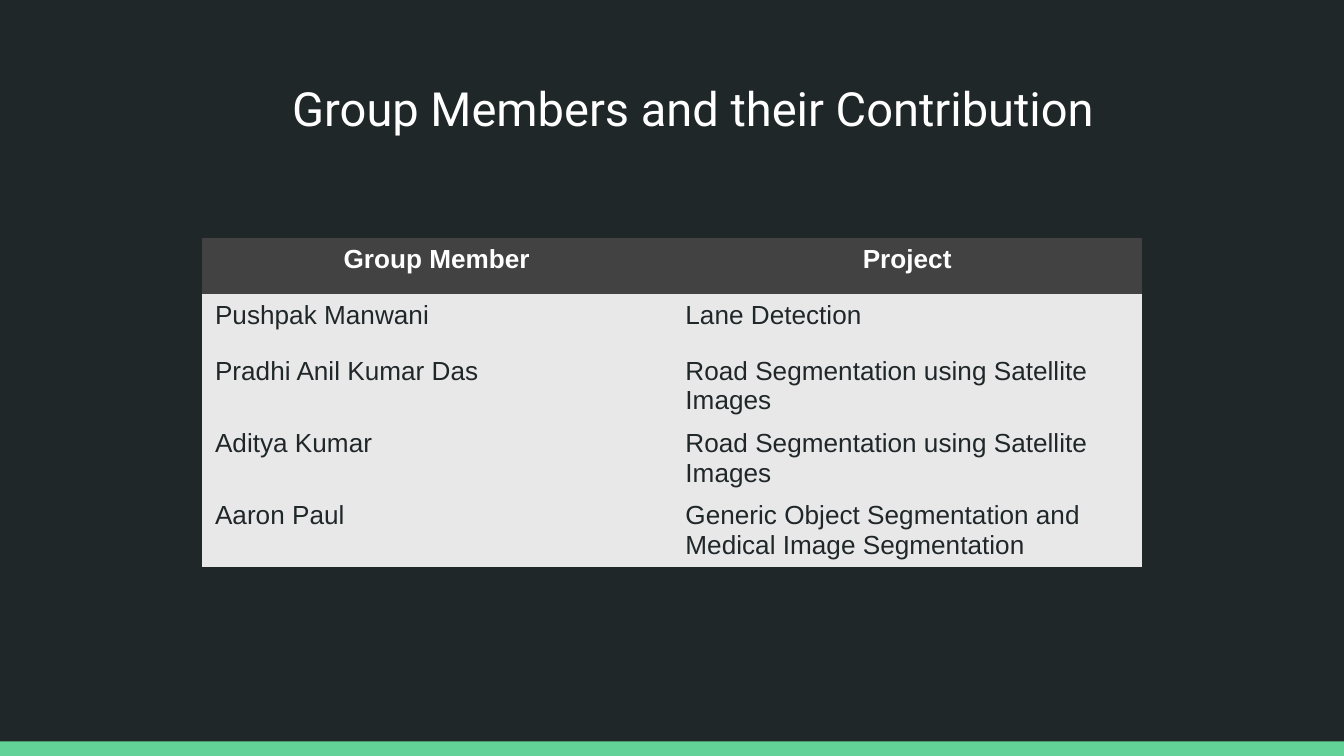
from pptx import Presentation
from pptx.dml.color import RGBColor
from pptx.enum.shapes import MSO_SHAPE
from pptx.enum.text import MSO_ANCHOR, PP_ALIGN
from pptx.util import Pt

HEADING = "Group Members and their Contribution"
CONTRIBUTIONS = [
    ("Group Member", "Project"),
    ("Pushpak Manwani", "Lane Detection"),
    ("Pradhi Anil Kumar Das", "Road Segmentation using Satellite Images"),
    ("Aditya Kumar", "Road Segmentation using Satellite Images"),
    ("Aaron Paul", "Generic Object Segmentation and Medical Image Segmentation"),
]

DARK = RGBColor(0x20, 0x27, 0x29)
GREEN = RGBColor(0x63, 0xD2, 0x97)
WHITE = RGBColor(0xFF, 0xFF, 0xFF)
HEADER_GREY = RGBColor(0x42, 0x42, 0x42)
BODY_GREY = RGBColor(0xE8, 0xE8, 0xE9)
NO_GRID_STYLE = "{2D5ABB26-0587-4C30-8999-92F81FD0307C}"

WIDTH, HEIGHT = 720, 405
STRIPE_HEIGHT = 7.8
TABLE_WIDTH, TABLE_TOP, ROW_HEIGHT = 504, 127.5, 30


def write(paragraph, text, font_name, size, color, bold=False):
    run = paragraph.add_run()
    run.text = text
    run.font.name = font_name
    run.font.size = Pt(size)
    run.font.color.rgb = color
    run.font.bold = bold


def add_stripe(slide):
    stripe = slide.shapes.add_shape(
        MSO_SHAPE.RECTANGLE, Pt(0), Pt(HEIGHT - STRIPE_HEIGHT), Pt(WIDTH), Pt(STRIPE_HEIGHT))
    stripe.shadow.inherit = False
    stripe.fill.solid()
    stripe.fill.fore_color.rgb = GREEN
    stripe.line.fill.background()


def add_heading(slide):
    heading = slide.shapes.title
    heading.left, heading.top = Pt(24.5), Pt(35.3)
    heading.width, heading.height = Pt(671), Pt(45.4)
    frame = heading.text_frame
    frame.word_wrap = True
    frame.vertical_anchor = MSO_ANCHOR.TOP
    frame.margin_right = frame.margin_top = frame.margin_bottom = Pt(7.2)
    frame.margin_left = Pt(30)
    paragraph = frame.paragraphs[0]
    paragraph.alignment = PP_ALIGN.CENTER
    write(paragraph, HEADING, "Roboto", 25.2, WHITE)


def add_contributions(slide):
    rows, columns = len(CONTRIBUTIONS), len(CONTRIBUTIONS[0])
    frame = slide.shapes.add_table(
        rows, columns, Pt((WIDTH - TABLE_WIDTH) / 2), Pt(TABLE_TOP),
        Pt(TABLE_WIDTH), Pt(rows * ROW_HEIGHT))
    table = frame.table
    table.horz_banding = False
    table._tbl.tblPr[0].text = NO_GRID_STYLE
    for r, entries in enumerate(CONTRIBUTIONS):
        header = r == 0
        for c, entry in enumerate(entries):
            cell = table.cell(r, c)
            cell.fill.solid()
            cell.fill.fore_color.rgb = HEADER_GREY if header else BODY_GREY
            paragraph = cell.text_frame.paragraphs[0]
            paragraph.alignment = PP_ALIGN.CENTER if header else PP_ALIGN.LEFT
            write(paragraph, entry, "Arial", 14, WHITE if header else DARK, header)


def main():
    deck = Presentation()
    deck.slide_width, deck.slide_height = Pt(WIDTH), Pt(HEIGHT)
    slide = deck.slides.add_slide(deck.slide_layouts[5])
    slide.background.fill.solid()
    slide.background.fill.fore_color.rgb = DARK
    add_stripe(slide)
    add_heading(slide)
    add_contributions(slide)
    deck.save("out.pptx")


if __name__ == "__main__":
    main()
